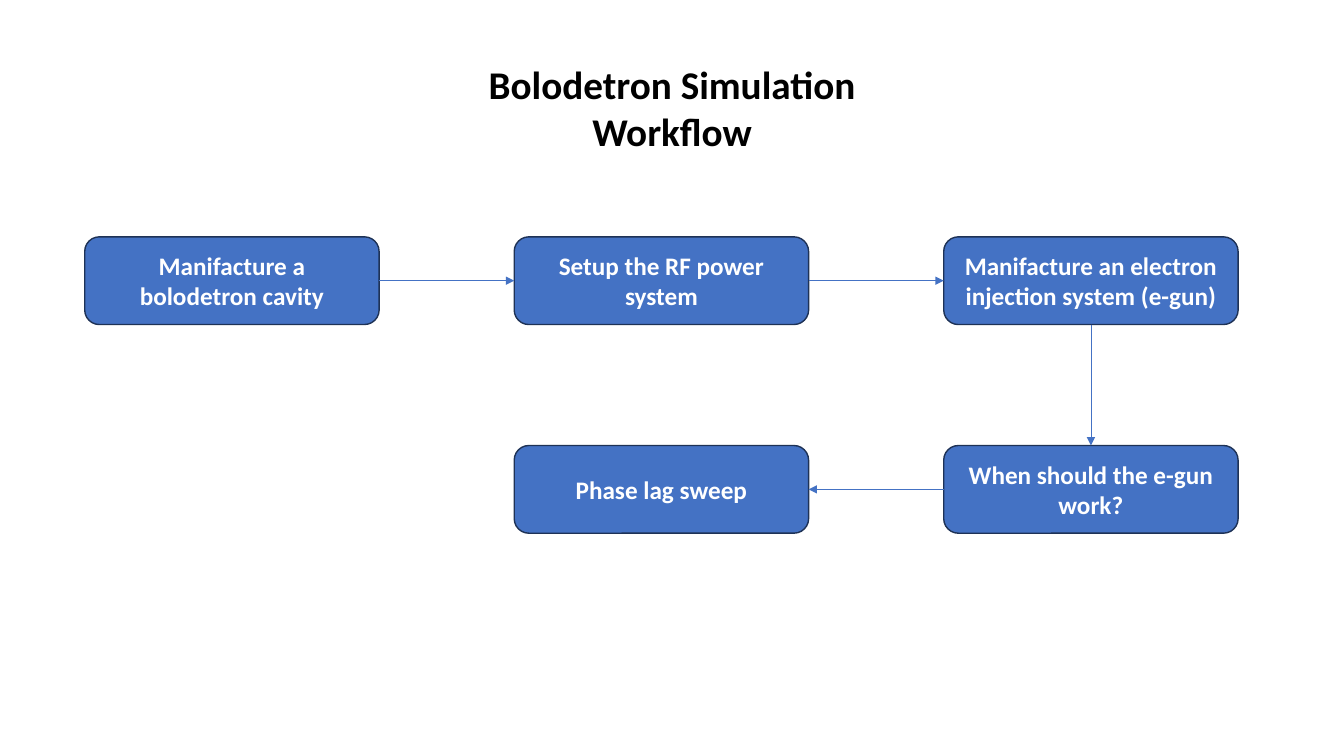
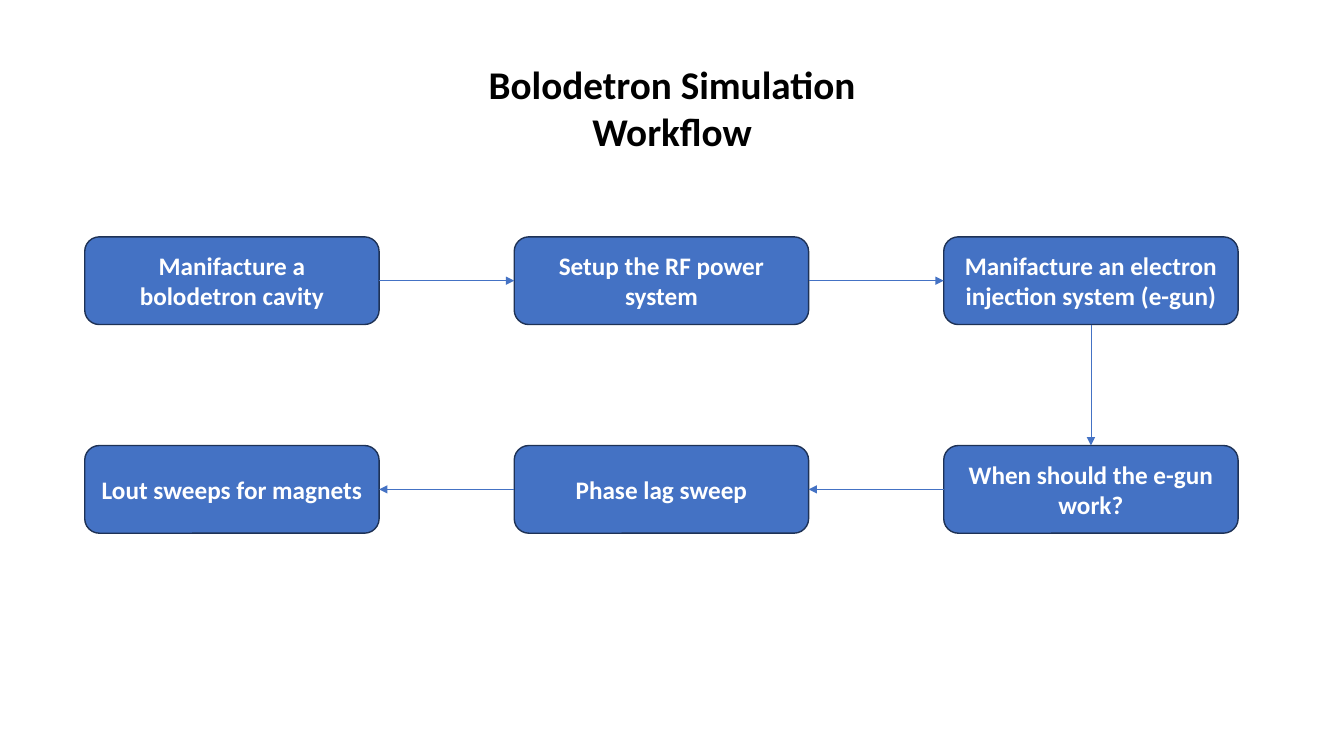
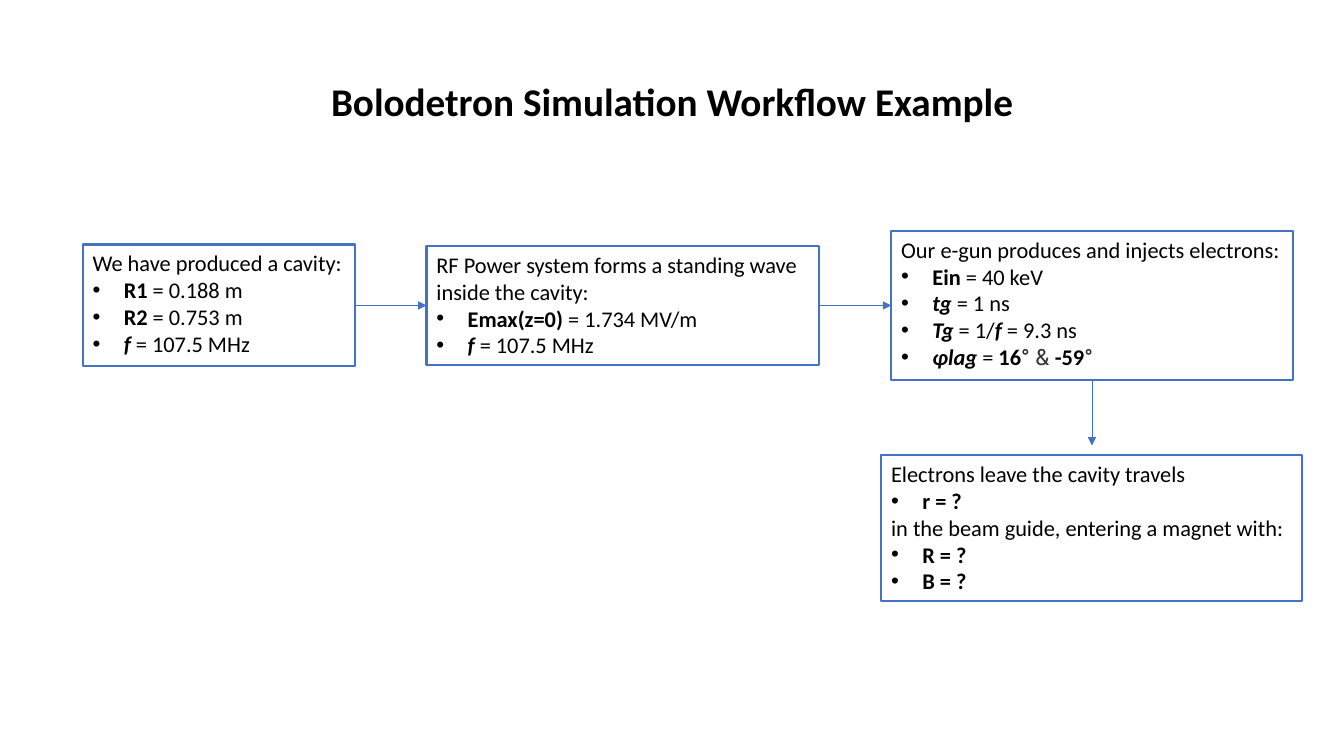
from pptx import Presentation
from pptx.dml.color import RGBColor
from pptx.enum.shapes import MSO_CONNECTOR, MSO_SHAPE
from pptx.enum.text import MSO_ANCHOR, PP_ALIGN
from pptx.oxml.ns import qn
from pptx.util import Inches, Pt
from lxml.etree import SubElement

SLIDE_WIDTH, SLIDE_HEIGHT = 13.33, 7.5
FONT = "Calibri"
BLUE, NAVY, WHITE, BLACK, GRAY = "4472C4", "1E3256", "FFFFFF", "000000", "333333"
TOP, LEFT, BOTTOM, RIGHT = range(4)

GRID_LEFT, GRID_TOP = 0.84, 2.35
COLUMN_PITCH, ROW_PITCH = 4.26, 2.07
STEP_WIDTH, STEP_HEIGHT = 2.92, 0.87
DETAIL_MIDDLE = 3.03

STEPS = [
    ("Manifacture a bolodetron cavity", 0, 0),
    ("Setup the RF power system", 1, 0),
    ("Manifacture an electron injection system (e-gun)", 2, 0),
    ("When should the e-gun work?", 2, 1),
    ("Phase lag sweep", 1, 1),
    ("Lout sweeps for magnets", 0, 1),
]

BOLD = {"bold": True}
SYMBOL = {"bold": True, "italic": True}
DEGREE = {"bold": True, "font": "Roboto", "color": GRAY}
AMPERSAND = {"font": "Roboto", "color": GRAY}

CAVITY = [
    "We have produced a cavity:",
    [("R1", BOLD), (" = 0.188 m", {})],
    [("R2", BOLD), (" = 0.753 m", {})],
    [("f", SYMBOL), (" = 107.5 MHz", {})],
]
POWER = [
    "RF Power system forms a standing wave\ninside the cavity:",
    [("Emax(z=0) ", BOLD), ("= 1.734 MV/m", {})],
    [("f ", SYMBOL), ("= 107.5 MHz", {})],
]
GUN = [
    "Our e-gun produces and injects electrons:",
    [("Ein ", BOLD), ("= 40 keV", {})],
    [("tg ", SYMBOL), ("= 1 ns", {})],
    [("Tg ", SYMBOL), ("= 1/", {}), ("f ", SYMBOL), ("= 9.3 ns", {})],
    [("φlag ", SYMBOL), ("= ", {}), ("16", BOLD), ("° ", DEGREE),
     ("& ", AMPERSAND), ("-59", BOLD), ("°", DEGREE)],
]
MAGNET = [
    "Electrons leave the cavity travels",
    [("r = ?", BOLD)],
    "in the beam guide, entering a magnet with:",
    [("R = ?", BOLD)],
    [("B = ?", BOLD)],
]


def rgb(color):
    return RGBColor.from_string(color)


def add_text(paragraph, text, size=16, font=FONT, color=BLACK, bold=False, italic=False):
    for index, line in enumerate(text.split("\n")):
        if index:
            paragraph.add_line_break()
        run = paragraph.add_run()
        run.text = line
        run.font.size = Pt(size)
        run.font.name = font
        run.font.color.rgb = rgb(color)
        run.font.bold = bold
        run.font.italic = italic


def add_bullet(paragraph):
    properties = paragraph._p.get_or_add_pPr()
    properties.set("marL", str(Inches(0.31)))
    properties.set("indent", str(-Inches(0.31)))
    SubElement(properties, qn("a:buFont")).set("typeface", "Arial")
    SubElement(properties, qn("a:buChar")).set("char", "•")


def add_title(slide, text, top, width):
    left = (SLIDE_WIDTH - width) / 2
    box = slide.shapes.add_textbox(Inches(left), Inches(top), Inches(width), Inches(0.57))
    box.text_frame.word_wrap = False
    paragraph = box.text_frame.paragraphs[0]
    paragraph.alignment = PP_ALIGN.CENTER
    add_text(paragraph, text, size=28, bold=True)


def add_box(slide, kind, left, top, width, height, line, weight, fill=None):
    shape = slide.shapes.add_shape(
        kind, Inches(left), Inches(top), Inches(width), Inches(height))
    shape.shadow.inherit = False
    if fill:
        shape.fill.solid()
        shape.fill.fore_color.rgb = rgb(fill)
    else:
        shape.fill.background()
    shape.line.color.rgb = rgb(line)
    shape.line.width = Pt(weight)
    shape.text_frame.word_wrap = True
    return shape


def add_step(slide, text, column, row):
    shape = add_box(slide, MSO_SHAPE.FLOWCHART_ALTERNATE_PROCESS,
                    GRID_LEFT + column * COLUMN_PITCH, GRID_TOP + row * ROW_PITCH,
                    STEP_WIDTH, STEP_HEIGHT, NAVY, 1, fill=BLUE)
    shape.text_frame.vertical_anchor = MSO_ANCHOR.MIDDLE
    paragraph = shape.text_frame.paragraphs[0]
    paragraph.alignment = PP_ALIGN.CENTER
    add_text(paragraph, text, size=18, color=WHITE, bold=True)
    return shape


def add_detail(slide, content, left, middle, width, height):
    shape = add_box(slide, MSO_SHAPE.RECTANGLE, left, middle - height / 2,
                    width, height, BLUE, 1.5)
    frame = shape.text_frame
    frame.vertical_anchor = MSO_ANCHOR.TOP
    for index, item in enumerate(content):
        paragraph = frame.add_paragraph() if index else frame.paragraphs[0]
        paragraph.alignment = PP_ALIGN.LEFT
        if isinstance(item, str):
            add_text(paragraph, item)
        else:
            add_bullet(paragraph)
            for text, style in item:
                add_text(paragraph, text, **style)
    return shape


def add_arrow(slide, source, source_side, target=None, target_side=None, end=(0, 0)):
    arrow = slide.shapes.add_connector(
        MSO_CONNECTOR.STRAIGHT, 0, 0, Inches(end[0]), Inches(end[1]))
    arrow.begin_connect(source, source_side)
    if target is not None:
        arrow.end_connect(target, target_side)
    arrow.line.color.rgb = rgb(BLUE)
    arrow.line.width = Pt(0.5)
    properties = arrow._element.spPr
    SubElement(properties.find(qn("a:ln")), qn("a:tailEnd")).set("type", "triangle")
    SubElement(properties, qn("a:effectLst"))


def add_slide(presentation):
    return presentation.slides.add_slide(presentation.slide_layouts[6])


def build_workflow(presentation, step_count):
    slide = add_slide(presentation)
    add_title(slide, "Bolodetron Simulation Workflow", 0.55, 5.49)
    steps = STEPS[:step_count]
    shapes = [add_step(slide, *step) for step in steps]
    for index in range(step_count - 1):
        move = steps[index + 1][1] - steps[index][1]
        sides = {1: (RIGHT, LEFT), 0: (BOTTOM, TOP), -1: (LEFT, RIGHT)}[move]
        add_arrow(slide, shapes[index], sides[0], shapes[index + 1], sides[1])


def build_example(presentation):
    slide = add_slide(presentation)
    add_title(slide, "Bolodetron Simulation Workflow Example", 0.72, 6.97)
    cavity = add_detail(slide, CAVITY, 0.82, DETAIL_MIDDLE, 2.7, 1.21)
    power = add_detail(slide, POWER, 4.23, DETAIL_MIDDLE, 3.89, 1.18)
    gun = add_detail(slide, GUN, 8.84, DETAIL_MIDDLE, 3.98, 1.48)
    add_detail(slide, MAGNET, 8.74, 5.24, 4.17, 1.45)
    add_arrow(slide, cavity, RIGHT, power, LEFT)
    add_arrow(slide, power, RIGHT, gun, LEFT)
    add_arrow(slide, gun, BOTTOM, end=(10.83, 4.42))


def main():
    presentation = Presentation()
    presentation.slide_width = Inches(SLIDE_WIDTH)
    presentation.slide_height = Inches(SLIDE_HEIGHT)
    build_workflow(presentation, 5)
    build_workflow(presentation, 6)
    build_example(presentation)
    presentation.save("out.pptx")


if __name__ == "__main__":
    main()
